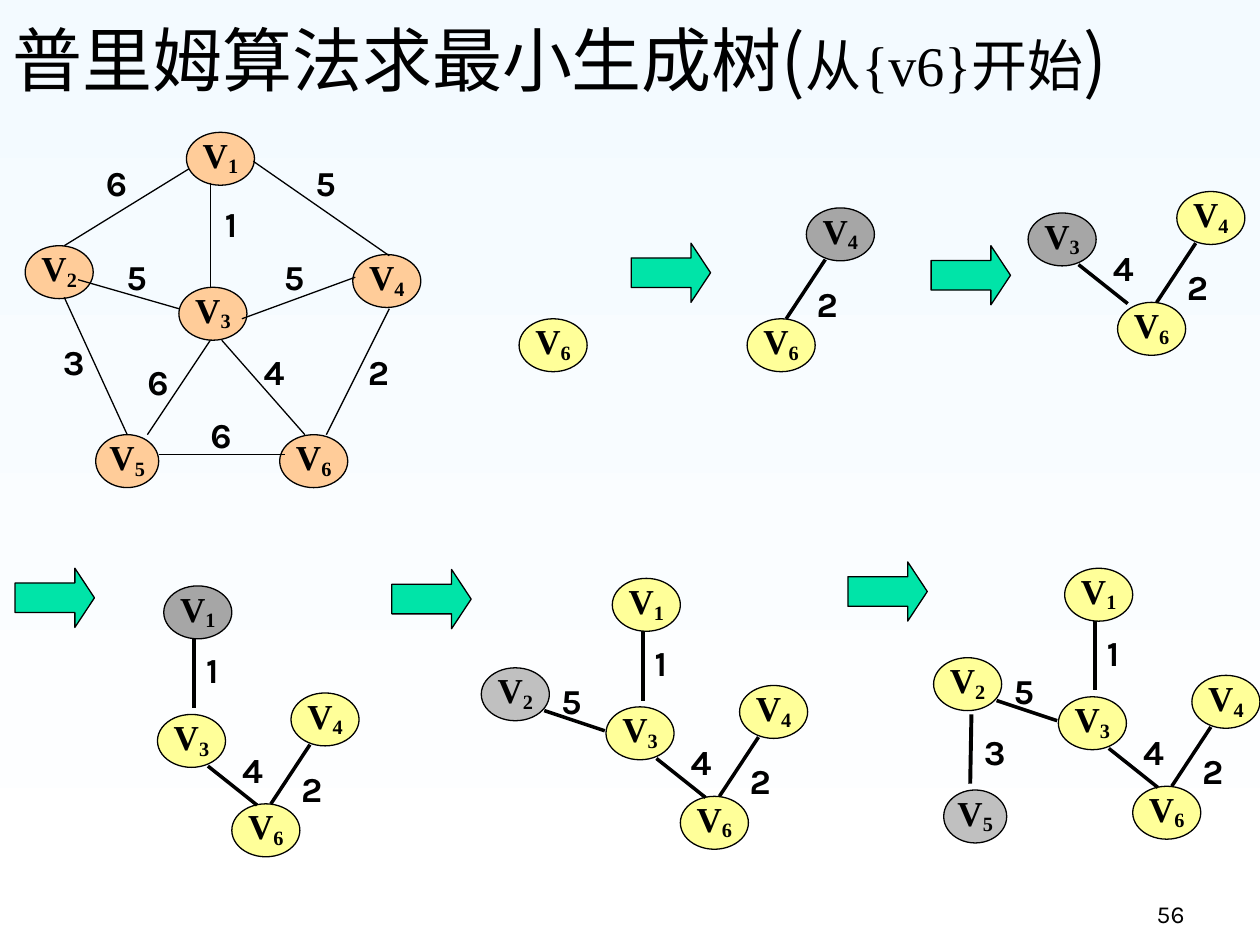
from lxml.etree import SubElement
from pptx import Presentation
from pptx.dml.color import RGBColor
from pptx.enum.shapes import MSO_CONNECTOR, MSO_SHAPE
from pptx.enum.text import MSO_ANCHOR, PP_ALIGN
from pptx.oxml.ns import qn
from pptx.util import Inches, Pt

COLS, ROWS = 1000, 750  # every length below counts these columns and rows
WIDE, HIGH = Inches(10), Inches(7.5)
SANS, SERIF, DIGIT = "Noto Sans CJK SC", "Times New Roman", "Karla"
BLACK, PEACH, YELLOW, GREEN = "000000", "FFCC99", "FFFF99", "00E4A8"
GREYS = {4: "A6A6A6", 3: "A6A6A6", 1: "A6A6A6", 2: "C0C0C0", 5: "C0C0C0"}

# vertex: place in the full graph
GRAPH = {1: (128, 0), 2: (0, 90), 3: (122, 123),
         4: (260, 97), 5: (56, 240), 6: (202, 240)}
# weight, start, end, place of the weight
EDGES = [
    (6, (130, 29), (31, 90), (56, 23)),
    (5, (181, 23), (289, 98), (222, 23)),
    (3, (31, 131), (81, 240), (22, 165)),
    (5, (122, 140), (42, 117), (72, 98)),
    (5, (172, 148), (262, 115), (197, 98)),
    (2, (289, 140), (239, 240), (264, 173)),
    (6, (106, 256), (206, 256), (139, 223)),
    (1, (147, 40), (147, 123), (147, 56)),
    (6, (147, 165), (97, 240), (89, 181)),
    (4, (156, 165), (222, 240), (181, 173)),
]
# vertices in the order they join the tree, measured from V6:
# vertex, place, then its edge: weight, start, end, place of the weight, line
JOINS = [
    (4, (47, -88), 2, (62, -47), (31, 0), (47, -29), 2),
    (3, (-59, -71), 4, (-19, -30), (20, 1), (0, -44), 2),
    (1, (-54, -173), 1, (-30, -131), (-30, -76), (-32, -123), 2.25),
    (2, (-158, -102), 5, (-60, -52), (-108, -68), (-103, -93), 2),
    (5, (-150, 3), 3, (-128, -57), (-129, -2), (-126, -44), 2.25),
]
# place of V6 in each step, and how far V3 is moved sideways
STEPS = [((412, 253), 0), ((593, 253), 0), ((887, 240), -12),
         ((184, 638), 0), ((540, 632), 0), ((899, 624), 0)]
ARROWS = [(501, 193), (739, 195), (12, 451), (311, 452), (673, 446)]


def color(code):
    return RGBColor.from_string(code)


def col(n):
    return round(WIDE * n / COLS)


def row(n):
    return round(HIGH * n / ROWS)


def box(left, top, wide, high):
    return col(left), row(top), col(wide), row(high)


def move(base, step):
    return base[0] + step[0], base[1] + step[1]


def style(font, size, name, bold=False):
    font.size, font.name, font.bold = Pt(size), name, bold
    font.color.rgb = color(BLACK)


def bare(frame):
    frame.margin_left = frame.margin_right = 0
    frame.margin_top = frame.margin_bottom = 0


def form(slide, kind, area, fill):
    shape = slide.shapes.add_shape(kind, *box(*area))
    shape.shadow.inherit = False
    shape.fill.solid()
    shape.fill.fore_color.rgb = color(fill)
    shape.line.color.rgb = color(BLACK)
    shape.line.width = Pt(0.75)
    return shape


def node(slide, spot, num, fill):
    wide = 50 if num == 5 else 54
    frame = form(slide, MSO_SHAPE.OVAL, (*spot, wide, 42), fill).text_frame
    bare(frame)
    frame.word_wrap = False
    frame.vertical_anchor = MSO_ANCHOR.MIDDLE
    para = frame.paragraphs[0]
    para.alignment, para.line_spacing = PP_ALIGN.CENTER, 0.72
    style(para.font, 20, SERIF, True)
    for text in ("V", str(num)):
        run = para.add_run()
        run.text = text
        style(run.font, 20, SERIF, True)
    run.font._element.set("baseline", "-16000")


def edge(slide, base, weight, start, end, spot, width):
    """Draw a line and its weight, measured from base."""
    (x1, y1), (x2, y2) = move(base, start), move(base, end)
    line = slide.shapes.add_connector(
        MSO_CONNECTOR.STRAIGHT, col(x1), row(y1), col(x2), row(y2))
    line.line.color.rgb = color(BLACK)
    line.line.width = Pt(width)
    SubElement(line._element.spPr, qn("a:effectLst"))
    label(slide, (*move(base, spot), 33, 33), weight, 20, True)


def label(slide, area, text, size, bold):
    frame = slide.shapes.add_textbox(*box(*area)).text_frame
    frame.word_wrap = True
    para = frame.paragraphs[0]
    para.text = str(text)
    para.alignment = PP_ALIGN.CENTER
    style(para.font, size, DIGIT, bold)
    bare(frame)
    return frame


def graph(slide, base):
    for num, spot in GRAPH.items():
        node(slide, move(base, spot), num, PEACH)
    for part in EDGES:
        edge(slide, base, *part, 0.75)


def tree(slide, base, count, shift):
    """Draw the tree after count joins; the newest vertex is grey."""
    node(slide, base, 6, YELLOW)
    for place, (num, spot, *part) in enumerate(JOINS[:count], 1):
        root = move(base, (shift, 0)) if num == 3 else base
        node(slide, move(root, spot), num,
             GREYS[num] if place == count else YELLOW)
        edge(slide, root, *part)


def arrow(slide, spot):
    shape = form(slide, MSO_SHAPE.RIGHT_ARROW, (*spot, 63, 47), GREEN)
    shape.adjustments[0], shape.adjustments[1] = 0.5, 0.33


def title(slide, area):
    head = slide.shapes.title
    head.left, head.top, head.width, head.height = box(*area)
    frame = head.text_frame
    frame.vertical_anchor = MSO_ANCHOR.BOTTOM
    para = frame.paragraphs[0]
    para.alignment = PP_ALIGN.LEFT
    for text, size, name in (("普里姆算法求最小生成树(", 40, SANS),
                             ("从", 32, SANS), ("{v6}", 32, SERIF),
                             ("开始", 32, SANS), (")", 40, SANS)):
        run = para.add_run()
        run.text = text
        style(run.font, size, name)
        SubElement(run.font._element, qn("a:ea"), typeface=SANS)


def number(slide, area):
    frame = label(slide, area, 56, 14, False)
    frame.vertical_anchor = MSO_ANCHOR.BOTTOM
    frame.margin_right, frame.margin_bottom = col(10), row(5)
    frame.paragraphs[0].alignment = PP_ALIGN.RIGHT
    frame.paragraphs[0].line_spacing = 1.1


def shade(slide):
    fill = slide.background.fill
    fill.gradient()
    fill.gradient_angle = 270
    for stop, code in zip(fill.gradient_stops, ("F3FAFF", "FFFFFF")):
        stop.color.rgb = color(code)


def main():
    deck = Presentation()
    deck.slide_width, deck.slide_height = WIDE, HIGH
    slide = deck.slides.add_slide(deck.slide_layouts[5])
    shade(slide)
    title(slide, (0, 0, 987, 85))
    graph(slide, (20, 105))
    for spot in ARROWS:
        arrow(slide, spot)
    for count, (base, shift) in enumerate(STEPS):
        tree(slide, base, count, shift)
    number(slide, (742, 692, 208, 50))
    deck.save("out.pptx")


if __name__ == "__main__":
    main()
